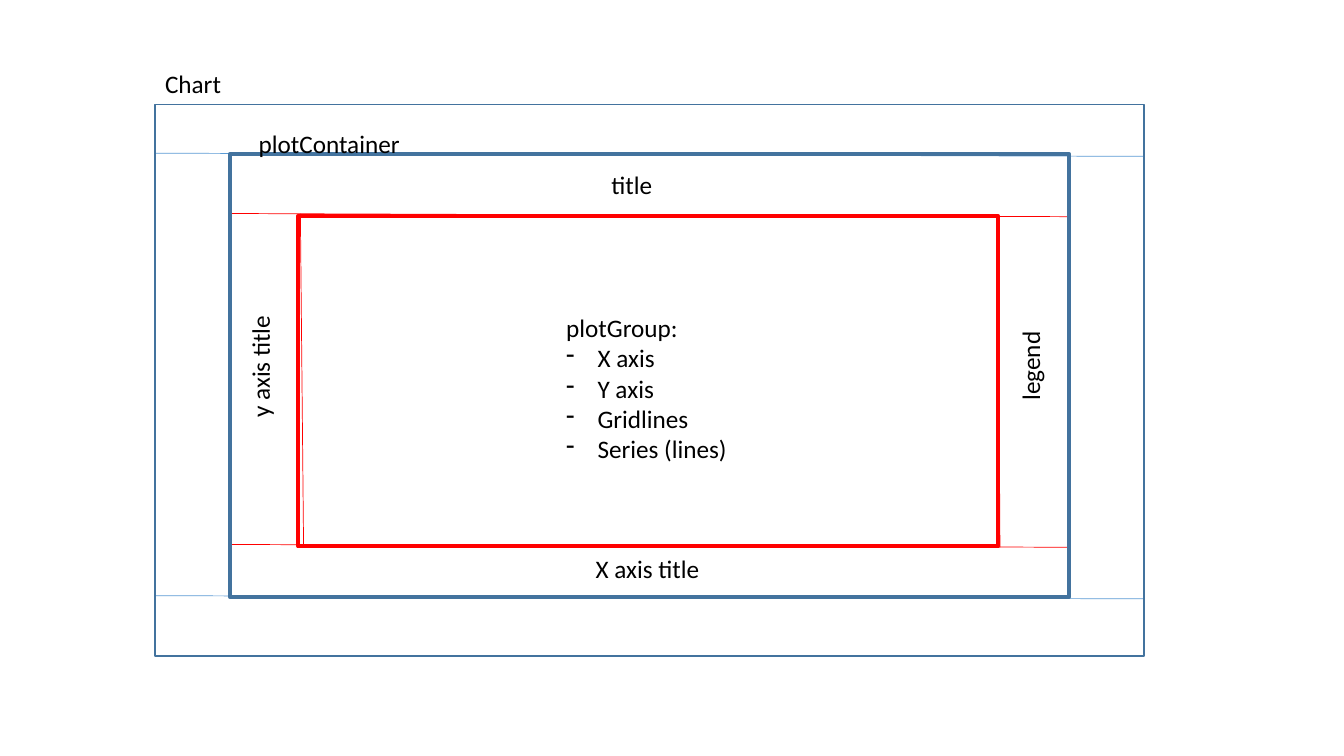
from dataclasses import dataclass

from lxml.etree import SubElement
from pptx import Presentation
from pptx.dml.color import RGBColor
from pptx.enum.shapes import MSO_CONNECTOR, MSO_SHAPE
from pptx.enum.text import MSO_AUTO_SIZE
from pptx.oxml.ns import qn
from pptx.util import Cm, Pt

NAVY, BLUE, RED, BLACK = "43739E", "5B9BD5", "FF0000", "000000"


@dataclass
class Frame:
    left: float
    top: float
    width: float
    height: float
    color: str
    weight: float


@dataclass
class Guide:
    x1: float
    y1: float
    x2: float
    y2: float
    color: str


@dataclass
class Label:
    text: str
    left: float
    top: float
    width: float
    height: float = 1.02
    rotation: float = 0
    items: tuple[str, ...] = ()


CHART = Frame(3.91, 2.64, 24.92, 13.89, NAVY, 1)
PLOT_CONTAINER = Frame(5.79, 3.89, 21.16, 11.15, NAVY, 3)
PLOT_GROUP = Frame(7.52, 5.44, 17.63, 8.33, RED, 3)

GUIDES = [
    Guide(3.91, 3.86, 28.83, 3.94, BLUE),
    Guide(3.91, 15.01, 28.83, 15.09, BLUE),
    Guide(5.84, 3.94, 5.84, 15.01, BLUE),
    Guide(26.95, 3.96, 26.95, 15.04, BLUE),
    Guide(5.84, 5.38, 26.95, 5.46, RED),
    Guide(5.82, 13.72, 26.92, 13.79, RED),
    Guide(7.65, 13.72, 7.57, 5.38, RED),
    Guide(25.2, 13.79, 25.15, 5.46, RED),
]

LABELS = [
    Label("Chart", 3.91, 1.6, 1.93),
    Label("plotGroup:", 14.02, 7.75, 4.75, 4.11,
          items=("X axis", "Y axis", "Gridlines", "Series (lines)")),
    Label("X axis title", 14.76, 13.82, 3.15),
    Label("y axis title", 4.98, 8.69, 3.15, rotation=270),
    Label("legend", 24.82, 8.69, 2.29, rotation=270),
    Label("title", 15.16, 4.14, 1.55),
    Label("plotContainer", 6.27, 3.12, 4.11),
]


def rgb(color: str) -> RGBColor:
    return RGBColor.from_string(color)


def add_frame(shapes, frame: Frame) -> None:
    s = shapes.add_shape(MSO_SHAPE.RECTANGLE, Cm(frame.left), Cm(frame.top),
                         Cm(frame.width), Cm(frame.height))
    s.shadow.inherit = False
    s.fill.background()
    s.line.color.rgb = rgb(frame.color)
    s.line.width = Pt(frame.weight)


def add_guide(shapes, guide: Guide) -> None:
    s = shapes.add_connector(MSO_CONNECTOR.STRAIGHT, Cm(guide.x1), Cm(guide.y1),
                             Cm(guide.x2), Cm(guide.y2))
    s.line.color.rgb = rgb(guide.color)
    s.line.width = Pt(0.5)
    SubElement(s.element.spPr, qn("a:effectLst"))


def add_run(p, text: str) -> None:
    r = p.add_run()
    r.text = text
    r.font.name = "Calibri"
    r.font.size = Pt(18)
    r.font.color.rgb = rgb(BLACK)


def add_dash_bullet(p) -> None:
    pPr = p._p.get_or_add_pPr()
    pPr.set("marL", str(Cm(0.79)))
    pPr.set("indent", str(-Cm(0.79)))
    SubElement(pPr, qn("a:buFontTx"))
    SubElement(pPr, qn("a:buChar")).set("char", "-")


def add_label(shapes, label: Label) -> None:
    s = shapes.add_textbox(Cm(label.left), Cm(label.top), Cm(label.width), Cm(label.height))
    s.rotation = label.rotation
    tf = s.text_frame
    tf.word_wrap = False
    tf.auto_size = MSO_AUTO_SIZE.SHAPE_TO_FIT_TEXT
    add_run(tf.paragraphs[0], label.text)
    for item in label.items:
        p = tf.add_paragraph()
        add_dash_bullet(p)
        add_run(p, item)


def main() -> None:
    prs = Presentation()
    prs.slide_width, prs.slide_height = Cm(33.87), Cm(19.05)
    shapes = prs.slides.add_slide(prs.slide_layouts[6]).shapes
    for guide in GUIDES:
        add_guide(shapes, guide)
    for frame in (CHART, PLOT_CONTAINER, PLOT_GROUP):
        add_frame(shapes, frame)
    for label in LABELS:
        add_label(shapes, label)
    prs.save("out.pptx")


if __name__ == "__main__":
    main()
